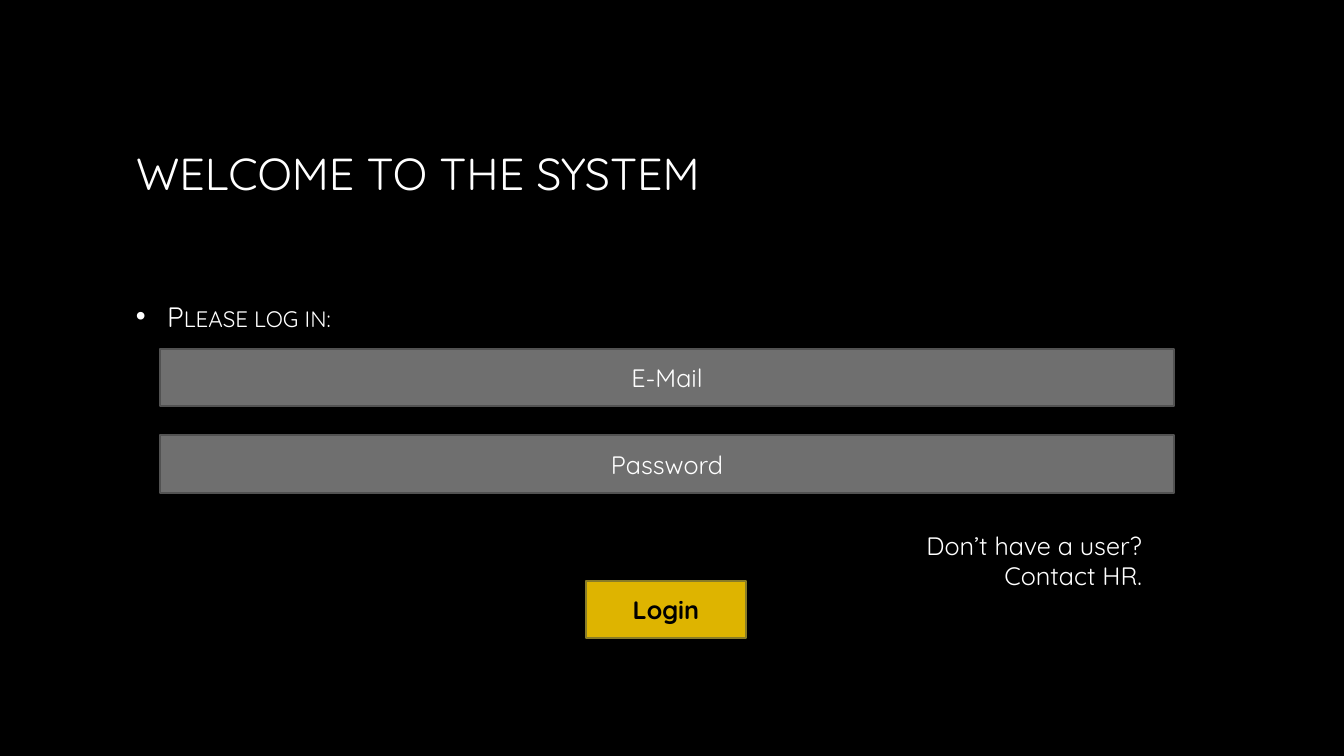
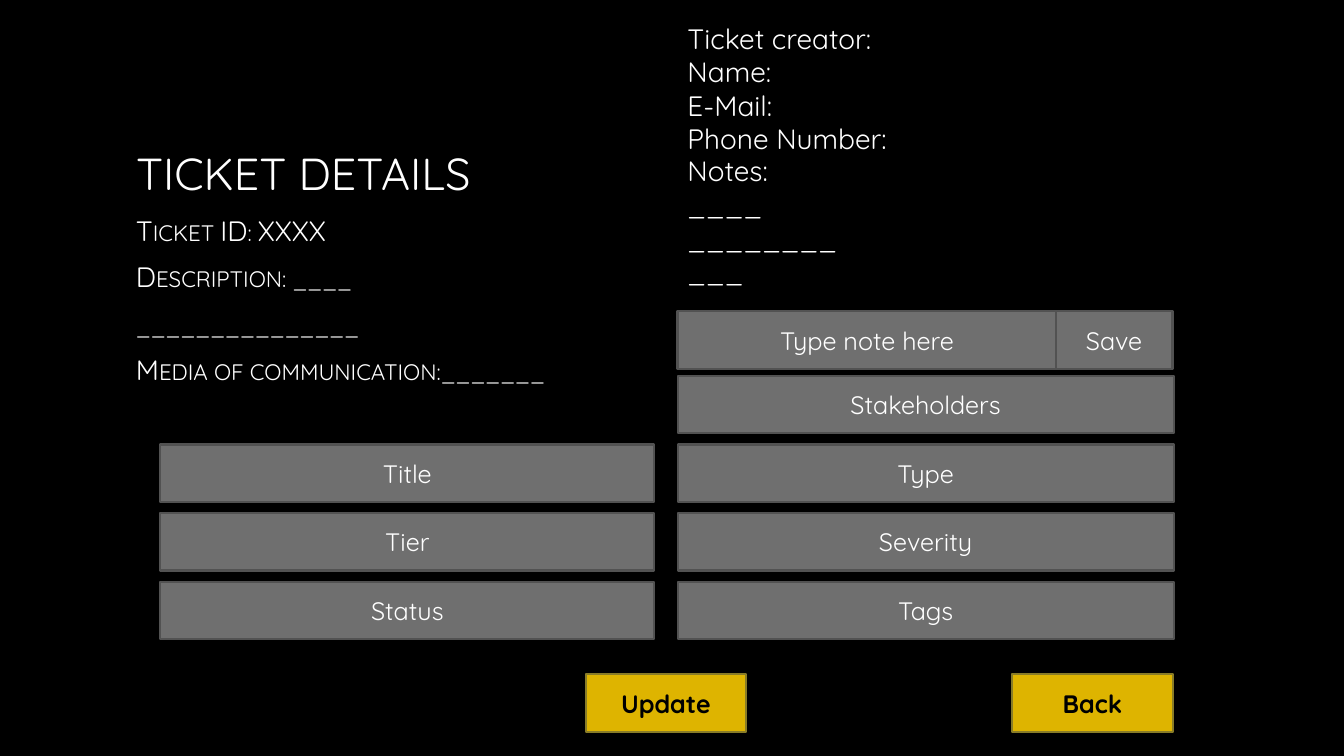
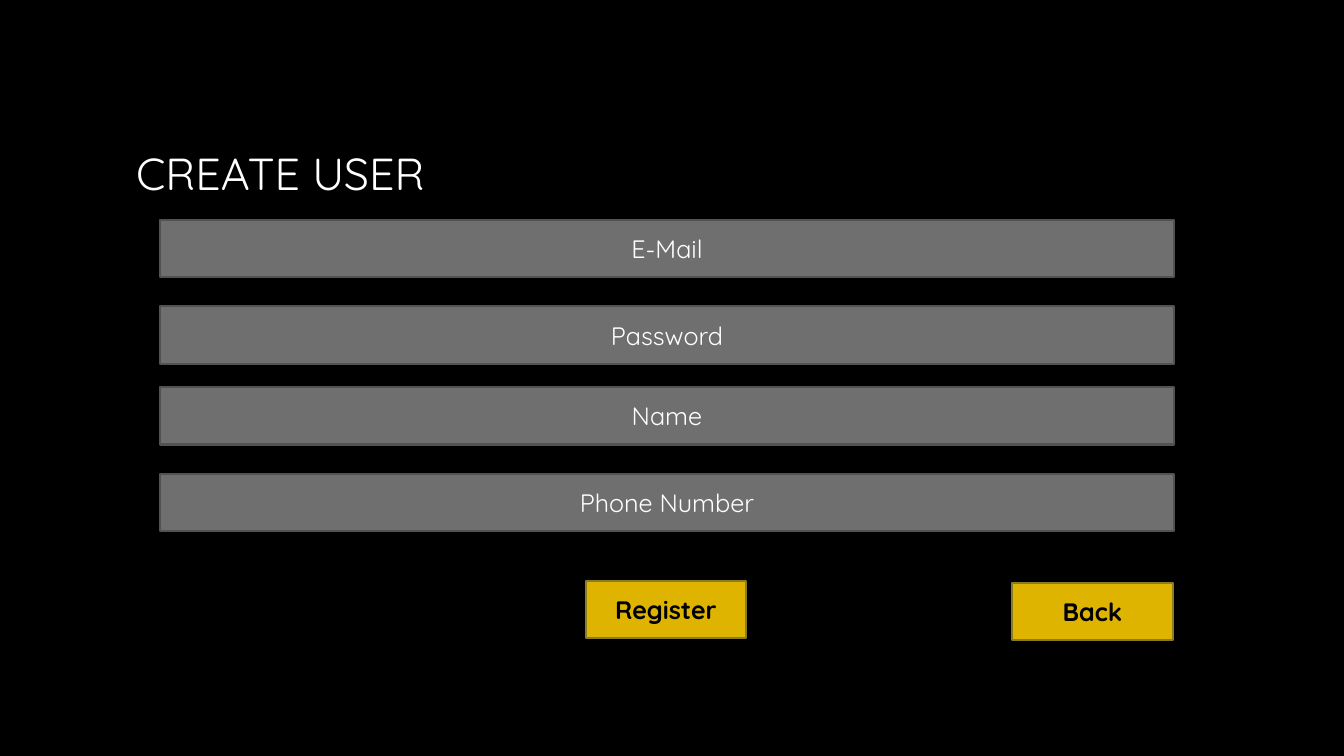
from pptx import Presentation
from pptx.dml.color import RGBColor
from pptx.enum.shapes import MSO_SHAPE
from pptx.enum.text import MSO_ANCHOR, PP_ALIGN
from pptx.oxml.ns import qn
from pptx.util import Inches, Pt
from lxml.etree import SubElement

FONT = "Quicksand"
COLORS = {
    "background": "000000",
    "text": "FFFFFF",
    "field": "6F6F6F",
    "field_line": "525252",
    "button": "DEB400",
    "button_line": "897C27",
    "button_text": "000000",
}
FORM_LEFT, FORM_WIDTH = 1.59, 10.05
RIGHT_LEFT, RIGHT_WIDTH = 6.72, 4.92
BOX_HEIGHT = 0.57
FORM_PITCH, TICKET_PITCH = 0.86, 0.68
BUTTON_WIDTH = 1.59
MIDDLE_BUTTON_LEFT, BACK_LEFT = 5.81, 10.04


def color(name):
    return RGBColor.from_string(COLORS[name])


def add_bullet(paragraph, indent=0.31):
    properties = paragraph._p.get_or_add_pPr()
    properties.set("marL", str(Inches(indent)))
    properties.set("indent", str(-Inches(indent)))
    SubElement(properties, qn("a:buFont"), typeface="Arial")
    SubElement(properties, qn("a:buChar"), char="•")


def write(frame, lines, size=18, ink="text", bold=False, aligns=(PP_ALIGN.LEFT,),
          anchor=MSO_ANCHOR.TOP, wrap=True, before=0, after=0,
          small_caps=False, bullet=False):
    """Fill a frame with one paragraph a line; the last of aligns serves the rest."""
    frame.word_wrap = wrap
    frame.vertical_anchor = anchor
    for index, line in enumerate(lines):
        paragraph = frame.add_paragraph() if index else frame.paragraphs[0]
        paragraph.alignment = aligns[min(index, len(aligns) - 1)]
        paragraph.space_before = Pt(before if index else 0)
        paragraph.space_after = Pt(after)
        if bullet:
            add_bullet(paragraph)
        run = paragraph.add_run()
        run.text = line
        run.font.name = FONT
        run.font.size = Pt(size)
        run.font.bold = bold
        run.font.color.rgb = color(ink)
        if small_caps:
            run._r.get_or_add_rPr().set("cap", "small")


def add_titled_slide(deck, heading):
    slide = deck.slides.add_slide(deck.slide_layouts[5])
    title = slide.shapes.title
    title.left, title.top = Inches(1.25), Inches(0.67)
    title.width, title.height = Inches(10.83), Inches(2.08)
    write(title.text_frame, [heading], size=32, anchor=MSO_ANCHOR.MIDDLE)
    return slide


def add_text(slide, lines, left, top, width, height, **style):
    box = slide.shapes.add_textbox(Inches(left), Inches(top), Inches(width), Inches(height))
    write(box.text_frame, lines, **style)


def add_body(slide, lines, top, bullet=False):
    add_text(slide, lines, 1.25, top, 10.83, 3.42, size=20, before=3, after=6,
             small_caps=True, bullet=bullet)


def add_box(slide, label, left, top, width, kind, **style):
    box = slide.shapes.add_shape(MSO_SHAPE.RECTANGLE, Inches(left), Inches(top),
                                 Inches(width), Inches(BOX_HEIGHT))
    box.shadow.inherit = False
    box.fill.solid()
    box.fill.fore_color.rgb = color(kind)
    box.line.color.rgb = color(f"{kind}_line")
    box.line.width = Pt(1.5)
    write(box.text_frame, [label], aligns=(PP_ALIGN.CENTER,),
          anchor=MSO_ANCHOR.MIDDLE, **style)


def add_field(slide, label, left, top, width):
    add_box(slide, label, left, top, width, "field")


def add_button(slide, label, left, top):
    add_box(slide, label, left, top, BUTTON_WIDTH, "button", ink="button_text", bold=True)


def add_fields(slide, labels, top, left=FORM_LEFT, width=FORM_WIDTH, pitch=FORM_PITCH):
    for row, label in enumerate(labels):
        add_field(slide, label, left, top + row * pitch, width)


def build_login(deck):
    slide = add_titled_slide(deck, "WELCOME TO THE SYSTEM")
    add_body(slide, ["Please log in:"], 2.92, bullet=True)
    add_fields(slide, ["E-Mail", "Password"], 3.46)
    add_button(slide, "Login", MIDDLE_BUTTON_LEFT, 5.76)
    add_text(slide, ["Don’t have a user?", "Contact HR."], 9.09, 5.21, 2.34, 0.71,
             aligns=(PP_ALIGN.LEFT, PP_ALIGN.RIGHT), wrap=False)


def build_ticket(deck):
    slide = add_titled_slide(deck, "TICKET DETAILS")
    add_body(slide, ["Ticket ID: XXXX", "Description: ____", "_" * 15,
                     "Media of communication:_______"], 2.07)
    add_fields(slide, ["Title", "Tier", "Status"], 4.41, width=4.9, pitch=TICKET_PITCH)
    add_fields(slide, ["Stakeholders", "Type", "Severity", "Tags"], 3.73,
               RIGHT_LEFT, RIGHT_WIDTH, TICKET_PITCH)
    add_field(slide, "Type note here", RIGHT_LEFT, 3.09, 3.76)
    add_field(slide, "Save", 10.47, 3.09, 1.16)
    add_button(slide, "Update", MIDDLE_BUTTON_LEFT, 6.69)
    add_button(slide, "Back", BACK_LEFT, 6.69)
    add_text(slide, ["Notes: ____", "_" * 11], RIGHT_LEFT, 1.47, 1.74, 0.77, size=20)
    add_text(slide, ["Ticket creator:", "Name:", "E-Mail:", "Phone Number:"],
             RIGHT_LEFT, 0.16, RIGHT_WIDTH, 1.45, size=20)


def build_registration(deck):
    slide = add_titled_slide(deck, "CREATE USER")
    add_fields(slide, ["E-Mail", "Password"], 2.18)
    add_fields(slide, ["Name", "Phone Number"], 3.84)
    add_button(slide, "Register", MIDDLE_BUTTON_LEFT, 5.76)
    add_button(slide, "Back", BACK_LEFT, 5.78)


def main():
    deck = Presentation()
    deck.slide_width, deck.slide_height = Inches(13.33), Inches(7.5)
    background = deck.slide_master.background.fill
    background.solid()
    background.fore_color.rgb = color("background")
    build_login(deck)
    build_ticket(deck)
    build_registration(deck)
    deck.save("out.pptx")


if __name__ == "__main__":
    main()
